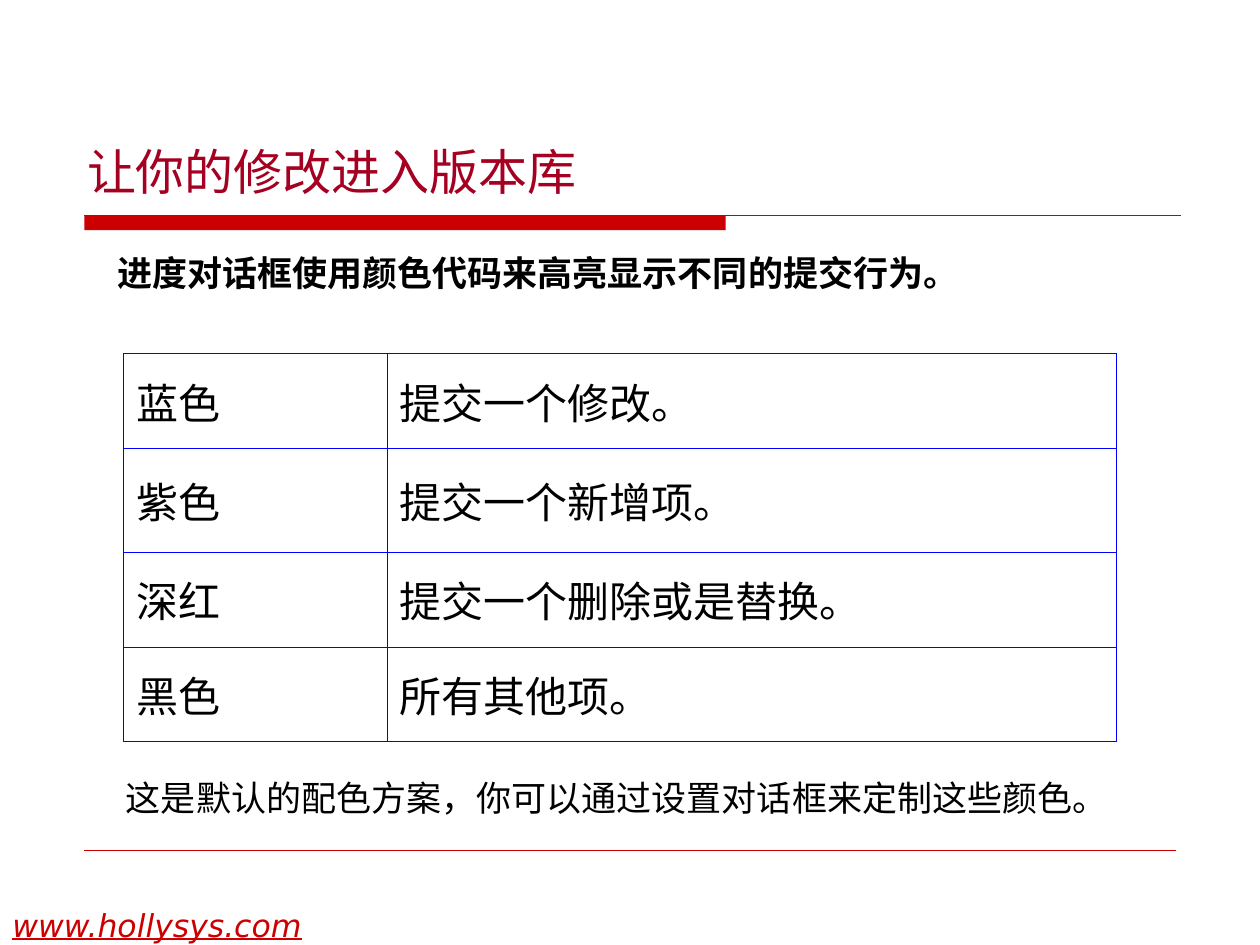
import pptx
import pptx.dml.color
import pptx.enum.shapes
import pptx.enum.text
import pptx.oxml.ns
import pptx.util
from lxml import etree
from pptx.util import Cm

RED = pptx.dml.color.RGBColor(0xCC, 0x00, 0x00)
CRIMSON = pptx.dml.color.RGBColor(0xA5, 0x00, 0x21)
BLACK = pptx.dml.color.RGBColor(0x00, 0x00, 0x00)
BLUE = pptx.dml.color.RGBColor(0x00, 0x00, 0xFF)
MIDDLE = pptx.enum.text.MSO_ANCHOR.MIDDLE


def write_text(text_frame, text, font_name, size, color):
    paragraph = text_frame.paragraphs[0]
    paragraph.text = text
    paragraph.alignment = pptx.enum.text.PP_ALIGN.LEFT
    paragraph.font.name = font_name
    paragraph.font.size = pptx.util.Pt(size)
    paragraph.font.color.rgb = color
    return paragraph


def add_element(parent, tag, **attributes):
    return etree.SubElement(parent, pptx.oxml.ns.qn(tag), **attributes)


presentation = pptx.Presentation()
presentation.slide_width = Cm(25.4)
presentation.slide_height = Cm(19.05)
slide = presentation.slides.add_slide(presentation.slide_layouts[5])

title = slide.shapes.title
title.left, title.top, title.width, title.height = Cm(1.5), Cm(2.72), Cm(10.54), Cm(1.45)
title.text_frame.auto_size = pptx.enum.text.MSO_AUTO_SIZE.NONE
title.text_frame.word_wrap = False
title.text_frame.vertical_anchor = MIDDLE
write_text(title.text_frame, "让你的修改进入版本库", "DejaVu Sans", 28, CRIMSON)

title_bar = slide.shapes.add_shape(
    pptx.enum.shapes.MSO_SHAPE.RECTANGLE, Cm(1.7), Cm(4.34), Cm(12.93), Cm(0.3))
title_bar.shadow.inherit = False
title_bar.fill.solid()
title_bar.fill.fore_color.rgb = RED
title_bar.line.fill.background()

for right, top, width in [(23.8, 4.34, 0.75), (23.7, 17.15, 0.25)]:
    rule = slide.shapes.add_connector(
        pptx.enum.shapes.MSO_CONNECTOR.STRAIGHT, Cm(1.7), Cm(top), Cm(right), Cm(top))
    rule.line.color.rgb = RED
    rule.line.width = pptx.util.Pt(width)
    add_element(rule._element.spPr, "a:effectLst")

text_boxes = [
    ("进度对话框使用颜色代码来高亮显示不同的提交行为。",
     2.11, 4.93, 17.47, 1.12, "Times New Roman", 20, BLACK, True, False),
    ("这是默认的配色方案，你可以通过设置对话框来定制这些颜色。",
     2.29, 15.52, 20.29, 1.12, "Times New Roman", 20, BLACK, False, False),
    ("www.hollysys.com", 0, 18.14, 6.71, 0.91, "DejaVu Sans", 18, RED, False, True),
]
for text, left, top, width, height, font_name, size, color, bold, is_link in text_boxes:
    text_box = slide.shapes.add_textbox(Cm(left), Cm(top), Cm(width), Cm(height))
    text_box.text_frame.word_wrap = False
    if not is_link:
        text_box.text_frame.vertical_anchor = MIDDLE
    paragraph = write_text(text_box.text_frame, text, font_name, size, color)
    paragraph.font.bold = bold
    paragraph.font.italic = is_link
    paragraph.font.underline = is_link

color_meanings = [
    ("蓝色", "提交一个修改。"),
    ("紫色", "提交一个新增项。"),
    ("深红", "提交一个删除或是替换。"),
    ("黑色", "所有其他项。"),
]
column_widths = [5.31, 14.71]
row_heights = [1.9, 2.11, 1.9, 1.9]
table = slide.shapes.add_table(
    len(row_heights), len(column_widths), Cm(2.49), Cm(7.13),
    Cm(sum(column_widths)), Cm(sum(row_heights))).table
table.first_row = False
table.horz_banding = False
for column, width in zip(table.columns, column_widths):
    column.width = Cm(width)
for row, height, texts in zip(table.rows, row_heights, color_meanings):
    row.height = Cm(height)
    for cell, text in zip(row.cells, texts):
        cell.vertical_anchor = MIDDLE
        write_text(cell.text_frame, text, "Noto Sans CJK SC", 24, BLACK)
        properties = cell._tc.get_or_add_tcPr()
        for side in ("L", "R", "T", "B"):
            border = add_element(properties, f"a:ln{side}", w=str(pptx.util.Pt(0.45)))
            border_fill = add_element(border, "a:solidFill")
            add_element(border_fill, "a:srgbClr", val=str(BLUE))
        cell.fill.background()

presentation.save("out.pptx")
